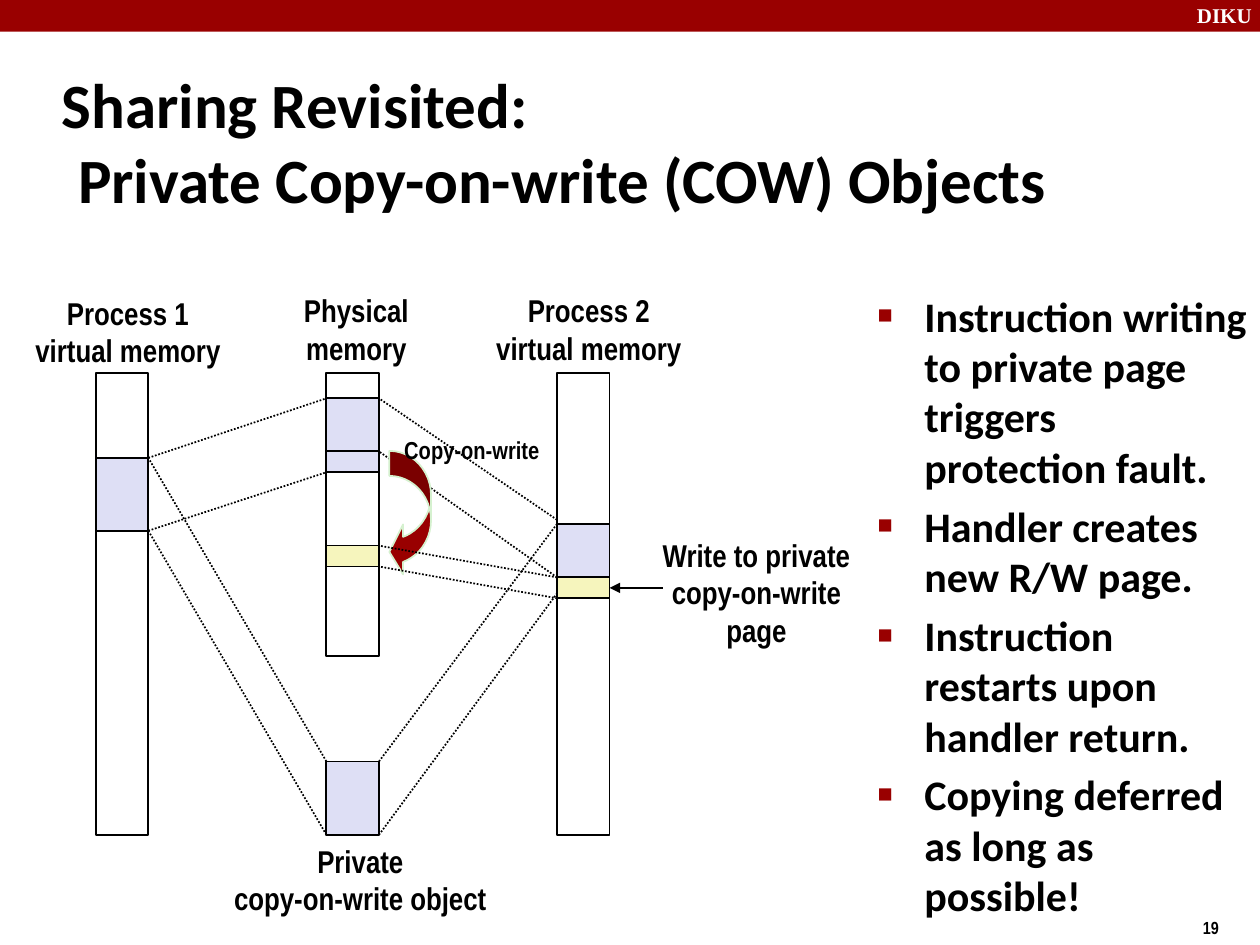
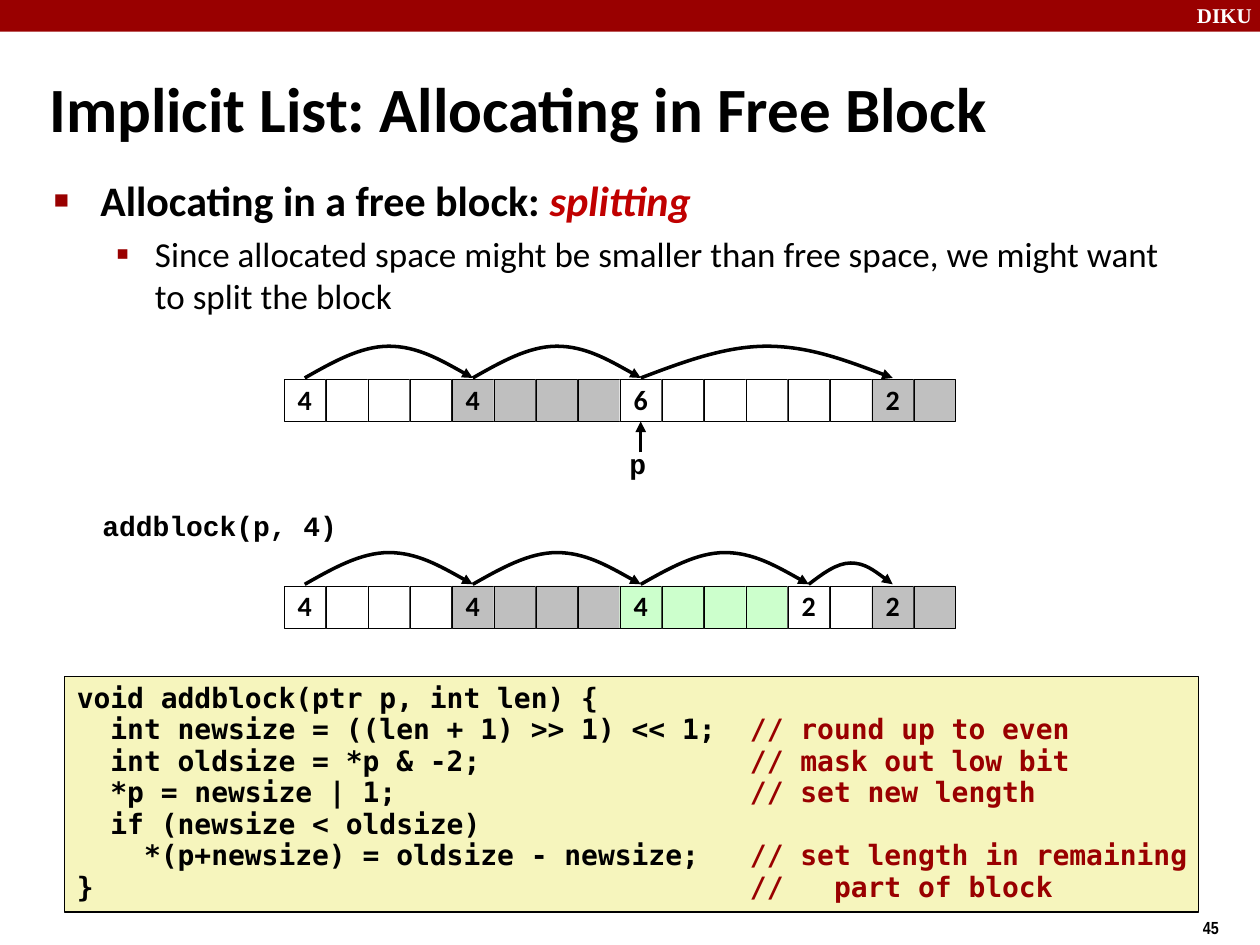
"""Build two lecture slides on copy-on-write memory and free-list splitting."""
from itertools import pairwise
from lxml.etree import SubElement
from pptx import Presentation
from pptx.dml.color import RGBColor as RGB
from pptx.enum.dml import MSO_LINE as Dash
from pptx.enum.shapes import MSO_CONNECTOR as Wire, MSO_SHAPE as Kind
from pptx.enum.text import MSO_ANCHOR as Anchor, MSO_AUTO_SIZE as Auto, PP_ALIGN as Align
from pptx.oxml.ns import qn
from pptx.util import Cm, Pt

INK = {"black": "000000", "white": "FFFFFF", "red": "990000", "accent": "C00000",
       "lilac": "DEDFF5", "cream": "F6F5BD", "mint": "D5F1CF", "green": "CCFFCC",
       "grey": "BFBFBF", "silver": "C0C0C0"}


def look(name, size, **more):
    return {"name": name, "size": Pt(size), "bold": True, "tint": "black", **more}


LOOK = {
    "title": look("Calibri", 36),
    "item": look("Calibri", 24),
    "sub": look("Calibri", 20, bold=False),
    "label": look("Arial Narrow", 18),
    "note": look("Arial Narrow", 14),
    "page": look("Arial Narrow", 10),
    "brand": look("Times New Roman", 12, tint="white"),
    "cell": look("Calibri", 16),
    "mono": look("Courier New", 16),
    "code": look("DejaVu Sans Mono", 16),
}
LEVEL = [("item", 0.96, -0.94, 4.8, "■", 60), ("sub", 2.06, -0.79, 4, "▪", 110)]
MID = {"alignment": Align.CENTER}
TIGHT = {"line_spacing": 0.98}
STEP = 2.54 / 3


def hue(name):
    return RGB.from_string(INK[name])


class Deck:
    def __init__(self):
        self.file = Presentation()
        self.file.slide_width, self.file.slide_height = Cm(25.4), Cm(19.05)

    def page(self, title, spot, number):
        self.slide = self.file.slides.add_slide(self.file.slide_layouts[1])
        self.shapes = self.slide.shapes
        self.box((0, 0, 25.4, 0.64), "red", None)
        self.text((23.88, -0.08, 1.7, 0.76), ["DIKU"], "brand", wrap=True)
        self.text((24, 18.36, 1.4, 0.74), [number], "page", wrap=True)
        head = self.shapes.title
        self.place(head, spot)
        self.put(head.text_frame, [title], "title", Anchor.MIDDLE, True, alignment=Align.LEFT)
        self.indent(head.text_frame.paragraphs[0], 0.33, -0.33)

    def place(self, shape, spot):
        for key, size in zip(("left", "top", "width", "height"), spot):
            setattr(shape, key, Cm(size))

    def put(self, frame, lines, style, anchor=Anchor.TOP, wrap=False, **form):
        setup = {"word_wrap": wrap, "auto_size": Auto.NONE, "vertical_anchor": anchor}
        for key, value in setup.items():
            setattr(frame, key, value)
        for i, line in enumerate(lines):
            para = frame.add_paragraph() if i else frame.paragraphs[0]
            for key, value in form.items():
                setattr(para, key, value)
            self.fill(para, line, style)

    def fill(self, para, line, style):
        for words, change in [(line, {})] if isinstance(line, str) else line:
            face = {**LOOK[style], **change}
            tint = face.pop("tint")
            for i, part in enumerate(words.split("\v")):
                if i:
                    para.add_line_break()
                run = para.add_run()
                run.text = part
                for key, value in face.items():
                    setattr(run.font, key, value)
                run.font.color.rgb = hue(tint)
        for gap in para._p.findall(qn("a:br")):
            SubElement(gap, qn("a:rPr"), sz=str(int(LOOK[style]["size"].pt * 100)))

    def indent(self, para, left, hang):
        props = para._p.get_or_add_pPr()
        props.set("marL", str(Cm(left)))
        props.set("indent", str(Cm(hang)))
        return props

    def bullets(self, spot, items):
        body = self.slide.placeholders[1]
        self.place(body, spot)
        frame = body.text_frame
        frame.word_wrap, frame.auto_size = True, Auto.NONE
        for i, (level, line) in enumerate(items):
            style, left, hang, space, mark, scale = LEVEL[level]
            para = frame.add_paragraph() if i else frame.paragraphs[0]
            para.level = level
            para.space_before = Pt(space if i else 0)
            props = self.indent(para, left, hang)
            SubElement(SubElement(props, qn("a:buClr")), qn("a:srgbClr"), val=INK["red"])
            SubElement(props, qn("a:buSzPct"), val=str(scale * 1000))
            SubElement(props, qn("a:buChar"), char=mark)
            self.fill(para, line, style)

    def text(self, spot, lines, style, anchor=Anchor.TOP, wrap=False, **form):
        box = self.shapes.add_textbox(*map(Cm, spot))
        self.put(box.text_frame, lines, style, anchor, wrap, **form)

    def label(self, spot, lines, style="label"):
        self.text(spot, lines, style, Anchor.MIDDLE, **MID)

    def box(self, spot, fill=None, edge="black", width=1, kind=Kind.RECTANGLE):
        shape = self.shapes.add_shape(kind, *map(Cm, spot))
        shape.shadow.inherit = False
        if fill:
            shape.fill.solid()
            shape.fill.fore_color.rgb = hue(fill)
        else:
            shape.fill.background()
        if edge:
            self.pen(shape.line, width, edge)
        else:
            shape.line.fill.background()
        return shape

    def pen(self, line, width, tint="black", arrow=False):
        line.color.rgb = hue(tint)
        line.width = Pt(width)
        if arrow:
            SubElement(line._get_or_add_ln(), qn("a:tailEnd"), type="triangle")

    def link(self, start, end, width=1, goal=None, side=0):
        wire = self.shapes.add_connector(Wire.STRAIGHT, *map(Cm, start + end))
        self.pen(wire.line, width, arrow=goal is not None)
        if goal is not None:
            wire.end_connect(goal, side)
        else:
            wire.line.dash_style = Dash.ROUND_DOT
        SubElement(wire._element.spPr, qn("a:effectLst"))

    def arc(self, left, base, span, rise):
        grid = [(1 / 6, 0.5), (1 / 3, 1), (0.5, 1), (2 / 3, 1), (5 / 6, 0.5), (1, 0)]
        pen = self.shapes.build_freeform(Cm(left), Cm(base))
        pen.add_line_segments([(Cm(left + x * span), Cm(base - y * rise)) for x, y in grid], False)
        curve = pen.convert_to_shape()
        curve.shadow.inherit = False
        curve.fill.background()
        self.pen(curve.line, 2, arrow=True)
        route = next(curve._element.iter(qn("a:path")))
        steps = route.findall(qn("a:lnTo"))
        for part in (steps[:3], steps[3:]):
            bend = SubElement(route, qn("a:cubicBezTo"))
            for step in part:
                bend.append(step[0])
                route.remove(step)

    def heap(self, left, top, blocks):
        heads, x = [], left
        for size, fill in blocks:
            for i in range(size):
                cell = self.box((x + i * STEP, top, STEP, STEP), fill, width=0.25)
                if not i:
                    heads.append(cell)
                    self.put(cell.text_frame, [str(size)], "cell", Anchor.MIDDLE, **MID, **TIGHT)
            x += size * STEP
        x = left + STEP / 2
        for (size, _), _ in pairwise(blocks):
            self.arc(x, top - 0.03, size * STEP, 0.64 if size > 2 else 0.43)
            x += size * STEP
        return heads


def share(deck):
    deck.page("Sharing Revisited: \vPrivate Copy-on-write (COW) Objects",
              (0.99, 1.22, 21.08, 3.23), "19")
    deck.bullets((17.42, 5.72, 7.98, 12.52), [
        (0, "Instruction writing to private page triggers protection fault."),
        (0, "Handler creates new R/W page."),
        (0, "Instruction restarts upon handler return."),
        (0, "Copying deferred as long as possible!")])
    one, phys, two = 1.93, 6.58, 11.23
    wide, page, slot = 1.06, 1.48, 0.42
    for left, tall in ((one, 9.31), (phys, 5.71), (two, 9.31)):
        deck.box((left, 7.52, wide, tall))
    for left, top in ((phys, 15.35), (phys, 8.03), (one, 9.23), (two, 10.56)):
        deck.box((left, top, wide, page), "lilac")
    edge, far = one + wide, phys + wide
    for start, end in (((phys, 15.35), (edge, 9.23)), ((phys, 16.83), (edge, 10.7)),
                       ((far, 15.35), (two, 10.56)), ((far, 16.83), (two, 11.96)),
                       ((edge, 9.23), (phys, 8.03)), ((edge, 10.7), (phys, 9.52)),
                       ((two, 10.48), (far, 8.03)), ((two, 11.64), (far, 9.1))):
        deck.link(start, end)
    deck.label((0.46, 5.79, 4.24, 1.78), ["Process 1", "virtual memory"])
    deck.label((5.89, 5.74, 2.59, 1.78), ["Physical", "memory"])
    deck.label((9.75, 5.74, 4.24, 1.78), ["Process 2", "virtual memory"])
    deck.label((4.47, 16.84, 5.59, 1.78), ["Private", "copy-on-write object"])
    deck.label((13.13, 10.67, 4.24, 2.54), ["Write to private", "copy-on-write", "page"])
    turn = deck.box((7.85, 9.09, 0.84, 2.54), "red", "mint", kind=Kind.CURVED_LEFT_ARROW)
    for i, value in enumerate((0.6, 1.2, 0.33)):
        turn.adjustments[i] = value
    deck.label((7.9, 8.64, 3.23, 0.84), ["Copy-on-write"], "note")
    deck.box((phys, 9.1, wide, slot), "lilac")
    deck.box((phys, 11, wide, slot), "cream")
    dirty = deck.box((two, 11.64, wide, slot), "cream")
    for drop in (0, slot):
        deck.link((two, 11.64 + drop), (far, 11 + drop))
    deck.link((13.36, 11.85), (two + wide, 11.85), goal=dirty, side=3)


def split(deck):
    deck.page("Implicit List: Allocating in Free Block", (0.74, 1.37, 23.93, 1.6), "45")
    deck.bullets((0.81, 3.4, 23.06, 14.5), [
        (0, [("Allocating in a free block: ", {}),
             ("splitting", {"tint": "accent", "italic": True})]),
        (1, "Since allocated space might be smaller than free space, "
            "we might want to split the block")])
    code = [("void addblock(ptr p, int len) {", ""),
            ("  int newsize = ((len + 1) >> 1) << 1;", "// round up to even"),
            ("  int oldsize = *p & -2;", "// mask out low bit"),
            ("  *p = newsize | 1;", "// set new length"),
            ("  if (newsize < oldsize)", ""),
            ("    *(p+newsize) = oldsize - newsize;", "// set length in remaining"),
            ("}", "//   part of block")]
    frame = deck.box((1.3, 13.64, 22.86, 4.75), "cream").text_frame
    lines = [[(left + "\t", {}), (right, {"tint": "red"})] if right else left
             for left, right in code]
    deck.put(frame, lines, "code", alignment=Align.LEFT, line_spacing=0.94)
    for para in frame.paragraphs:
        tabs = SubElement(para._p.get_or_add_pPr(), qn("a:tabLst"))
        SubElement(tabs, qn("a:tab"), pos=str(Cm(13.57)), algn="l")
    left, start = 5.72, [(4, "white"), (4, "grey")]
    heads = deck.heap(left, 7.65, start + [(6, "white"), (2, "silver")])
    deck.heap(left, 11.81, start + [(4, "green"), (2, "white"), (2, "silver")])
    mid = left + 8.5 * STEP
    deck.link((mid, 9.12), (mid, 8.49), 2, heads[2], 2)
    deck.text((12.45, 8.92, 0.81, 0.94), ["p"], "mono", **MID, **TIGHT)
    deck.text((1.93, 10.24, 5, 0.94), ["addblock(p, 4)"], "mono", **MID, line_spacing=0.85)


def main():
    deck = Deck()
    share(deck)
    split(deck)
    deck.file.save("out.pptx")


if __name__ == "__main__":
    main()
